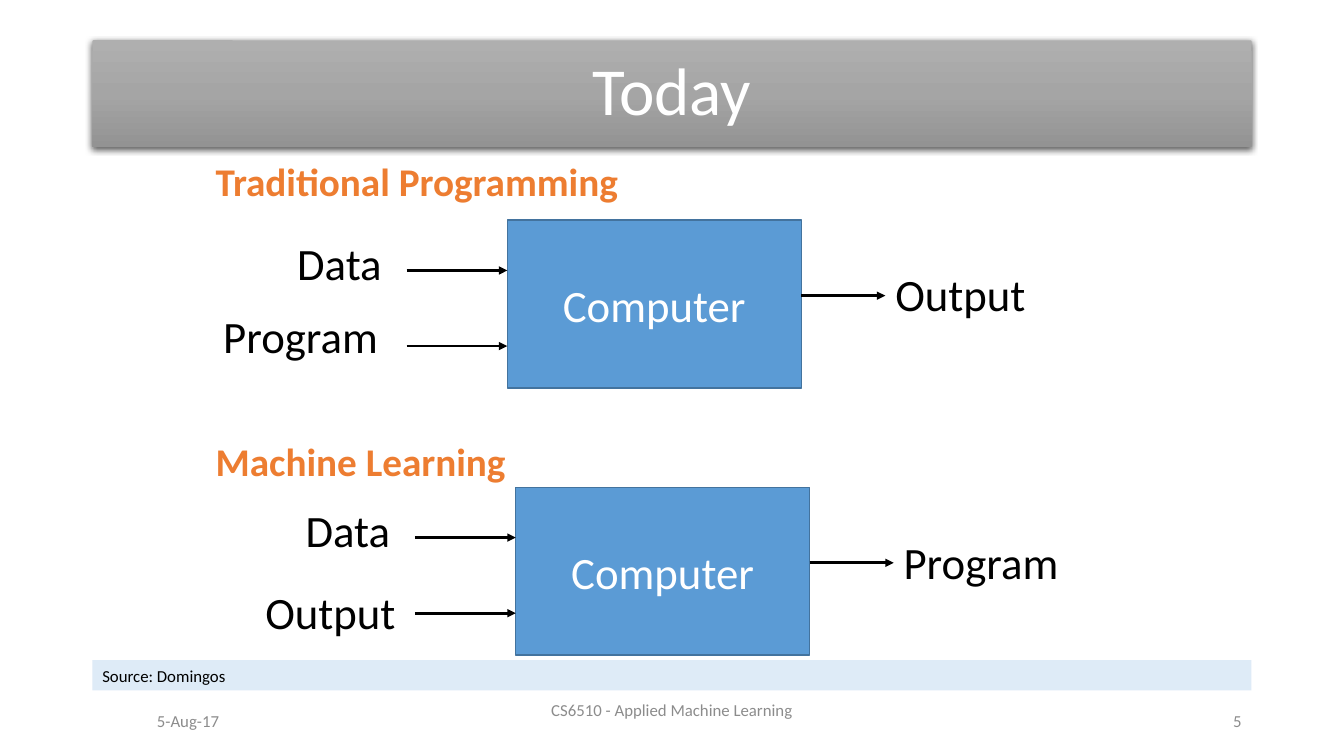
import pptx
import pptx.util
import pptx.dml.color
import pptx.enum.shapes
import pptx.enum.text
import pptx.oxml

HUES = {
    "ink": "000000", "paper": "FFFFFF", "grey": "8C8C8C", "pale": "DEEBF7",
    "blue": "5B9BD5", "edge": "43739E", "warm": "ED7D31",
    "top": "AFAFAF", "mid": "A5A5A5", "low": "939393",
}
UNIT = 1 / 12
WIDE = {"Data": 13.7, "Program": 22.8, "Output": 18.4}
SHAPES = pptx.enum.shapes.MSO_SHAPE
ALIGN = pptx.enum.text.PP_ALIGN
MIDDLE = pptx.enum.text.MSO_ANCHOR.MIDDLE
XMLNS = 'xmlns:a="http://schemas.openxmlformats.org/drawingml/2006/main"'


def cells(*marks):
    """Turn grid columns and rows into lengths."""
    return [pptx.util.Inches(mark * UNIT) for mark in marks]


def tint(name):
    """Look up a named colour."""
    return pptx.dml.color.RGBColor.from_string(HUES[name])


def write(shape, text, size, hue, align=ALIGN.LEFT, bold=False, wrap=True):
    """Set one paragraph of text in a shape."""
    frame = shape.text_frame
    frame.word_wrap = wrap
    frame.vertical_anchor = MIDDLE
    para = frame.paragraphs[0]
    para.text = text
    para.alignment = align
    look = {"name": "Calibri", "size": pptx.util.Pt(size), "bold": bold}
    for key, value in look.items():
        setattr(para.font, key, value)
    para.font.color.rgb = tint(hue)
    return para


def label(slide, box, text, size, hue, **form):
    """Place a text box on the grid."""
    return write(slide.shapes.add_textbox(*cells(*box)), text, size, hue, **form)


def block(slide, box, fill, edge=None, kind=SHAPES.RECTANGLE):
    """Place a filled shape on the grid."""
    shape = slide.shapes.add_shape(kind, *cells(*box))
    shape.shadow.inherit = False
    shape.fill.solid()
    shape.fill.fore_color.rgb = tint(fill)
    if edge:
        shape.line.color.rgb = tint(edge)
        shape.line.width = pptx.util.Pt(1)
    else:
        shape.line.fill.background()
    return shape


def arrow(slide, left, top, span):
    """Draw a level arrow pointing right."""
    line = slide.shapes.add_connector(
        pptx.enum.shapes.MSO_CONNECTOR.STRAIGHT, *cells(left, top, left + span, top))
    line.line.color.rgb = tint("ink")
    line.line.width = pptx.util.Pt(2)
    head = pptx.oxml.parse_xml(f'<a:tailEnd {XMLNS} type="triangle"/>')
    line.line._get_or_add_ln().append(head)
    line._element.spPr.append(pptx.oxml.parse_xml(f"<a:effectLst {XMLNS}/>"))


def banner(slide, box, text):
    """Draw the shaded title bar."""
    bar = block(slide, box, "mid", kind=SHAPES.ROUNDED_RECTANGLE)
    bar.adjustments[0] = 0.01
    props = bar._element.spPr
    stops = "".join(
        f'<a:gs pos="{spot}000"><a:srgbClr val="{HUES[name]}"/></a:gs>'
        for spot, name in ((0, "top"), (50, "mid"), (100, "low")))
    fade = pptx.oxml.parse_xml(
        f'<a:gradFill {XMLNS} rotWithShape="1"><a:gsLst>{stops}</a:gsLst>'
        '<a:lin ang="5400000" scaled="0"/></a:gradFill>')
    solid = props.find(pptx.oxml.ns.qn("a:solidFill"))
    props.replace(solid, fade)
    shade = pptx.oxml.parse_xml(
        f'<a:outerShdw {XMLNS} blurRad="57150" dist="19050" dir="5400000" '
        f'algn="ctr" rotWithShape="0"><a:srgbClr val="{HUES["ink"]}">'
        '<a:alpha val="63000"/></a:srgbClr></a:outerShdw>')
    props.find(pptx.oxml.ns.qn("a:effectLst")).append(shade)
    write(bar, text, 48, "paper", align=ALIGN.CENTER).line_spacing = 0.9


def flow(slide, box, inputs, result):
    """Draw a computer with its inputs and its result."""
    left, top, width, height = box
    body = block(slide, box, "blue", "edge")
    write(body, "Computer", 32, "paper", align=ALIGN.CENTER, wrap=False)
    for row in (0.3, 0.75):
        arrow(slide, left - 12, top + row * height, 12)
    arrow(slide, left + width, top + 0.45 * height, 10)
    spots = [(text, left - shift, top + drop) for text, shift, drop in inputs]
    spots.append((result, left + width + 10, top + 5))
    for text, col, row in spots:
        label(slide, (col, row, WIDE[text], 7.6), text, 32, "ink", wrap=False)


def footer(slide, box):
    """Draw the source strip and the footer line."""
    left, top, width, height = box
    strip = block(slide, (left, top, width, 3.6), "pale")
    write(strip, "Source: Domingos", 12, "ink")
    low = top + height - 4.8
    for spot, text, align in (
            ((left + 6.5, low, 29.4, 4.8), "5-Aug-17", ALIGN.LEFT),
            ((left + 42, low - 1.3, 54, 4.8),
             "CS6510 - Applied Machine Learning", ALIGN.CENTER),
            ((left + width - 36, low, 36, 4.8), "5", ALIGN.RIGHT)):
        label(slide, spot, text, 12, "grey", align=align)


def main():
    """Build and save the slide."""
    deck = pptx.Presentation()
    deck.slide_width, deck.slide_height = cells(160, 90)
    slide = deck.slides.add_slide(deck.slide_layouts[6])
    banner(slide, (11, 4.8, 138, 12.7), "Today")
    for row, text in ((18.5, "Traditional Programming"), (51.9, "Machine Learning")):
        label(slide, (24.5, row, 60, 6), text, 28, "warm", bold=True)
    flow(slide, (60.4, 26.2, 35, 20),
         (("Data", 26.2, 1.2), ("Program", 35, 10)), "Output")
    flow(slide, (61.4, 58, 35, 20),
         (("Data", 26.2, 1.2), ("Output", 31, 11)), "Program")
    footer(slide, (11, 78.6, 138, 9.6))
    deck.save("out.pptx")


if __name__ == "__main__":
    main()
